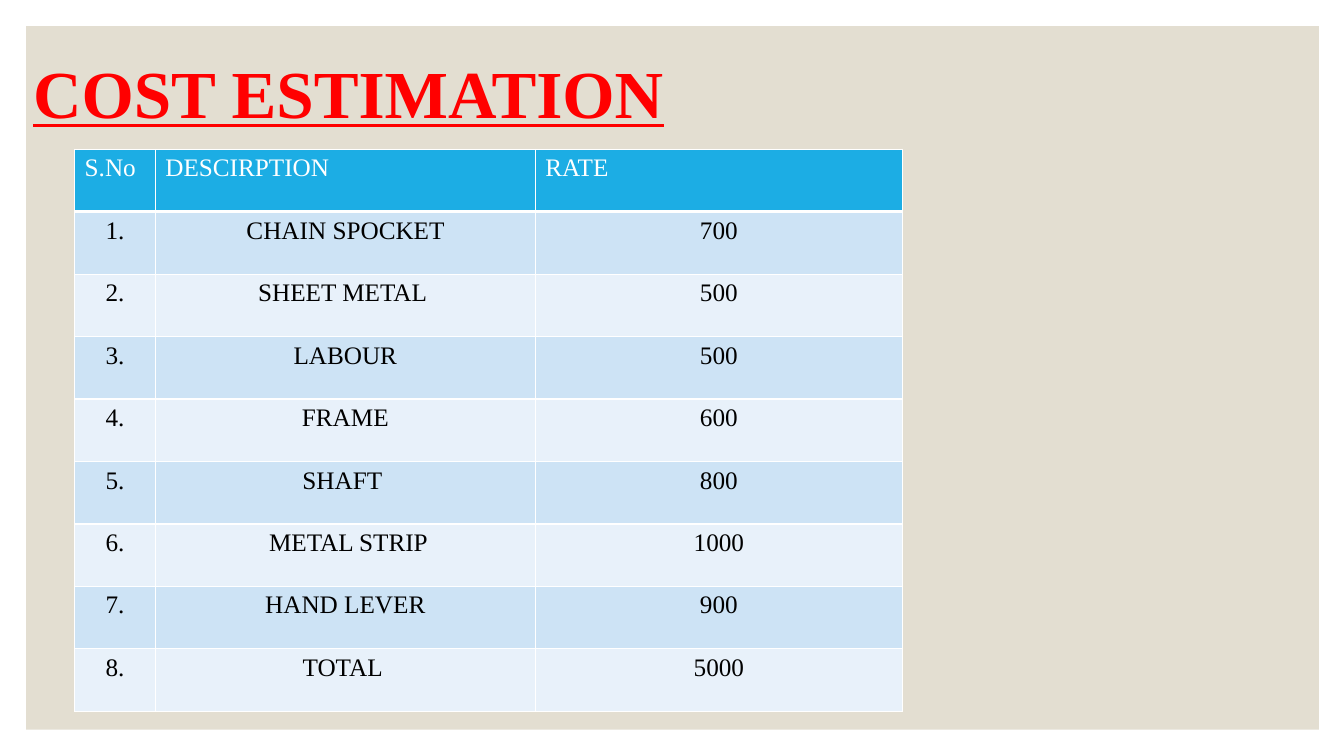
"""Build the cost estimation slide."""
from lxml.etree import SubElement as Sub
from pptx import Presentation
from pptx.dml.color import RGBColor as Rgb
from pptx.enum.shapes import MSO_SHAPE as Shape
from pptx.enum.text import MSO_ANCHOR as Anchor, PP_ALIGN as Align
from pptx.oxml.ns import qn
from pptx.util import Inches, Pt

FONT = "Times New Roman"
TITLE = "COST ESTIMATION"
HEAD = ("S.No", "DESCIRPTION", "RATE")
ITEMS = [
    (" CHAIN SPOCKET ", 700),
    ("SHEET METAL ", 500),
    (" LABOUR ", 500),
    ("FRAME", 600),
    ("SHAFT ", 800),
    (" METAL STRIP", 1000),
    (" HAND LEVER ", 900),
    ("TOTAL ", 5000),
]
COLORS = {"panel": "E3DED1", "title": "FF0000", "head": "1CADE4", "odd": "CDE3F5",
          "even": "E8F1FA", "white": "FFFFFF", "ink": "000000"}
WIDTHS = (0.8, 3.77, 3.64)
ROW = 0.62


def color(name):
    return Rgb.from_string(COLORS[name])


def write(para, text, size, tint):
    run = para.add_run()
    run.text = text
    run.font.name, run.font.size = FONT, Pt(size)
    run.font.color.rgb = color(tint)
    return run


def border(cell, low):
    props = cell._tc.get_or_add_tcPr()
    for side, width in zip("LRTB", (1, 1, 1, low)):
        line = Sub(props, qn("a:ln" + side), w=str(Pt(width)))
        fill = Sub(line, qn("a:solidFill"))
        Sub(fill, qn("a:srgbClr"), val=COLORS["white"])


def add_panel(slide):
    panel = slide.shapes.add_shape(
        Shape.RECTANGLE, Inches(0.26), Inches(0.26), Inches(12.82), Inches(6.98))
    panel.shadow.inherit = False
    panel.fill.solid()
    panel.fill.fore_color.rgb = color("panel")
    panel.line.fill.background()


def add_title(slide):
    box = slide.shapes.add_textbox(Inches(0.23), Inches(0.12), Inches(9.25), Inches(1.67))
    frame = box.text_frame
    frame.word_wrap = True
    frame.vertical_anchor = Anchor.MIDDLE
    para = frame.paragraphs[0]
    para.line_spacing = 0.9
    run = write(para, TITLE, 48, "title")
    run.font.bold = run.font.underline = True


def add_costs(slide):
    rows = [HEAD] + [(f"{n}.", name, str(rate)) for n, (name, rate) in enumerate(ITEMS, 1)]
    table = slide.shapes.add_table(
        len(rows), len(HEAD), Inches(0.74), Inches(1.48),
        Inches(sum(WIDTHS)), Inches(ROW * len(rows))).table
    for col, width in zip(table.columns, WIDTHS):
        col.width = Inches(width)
    for r, row in enumerate(rows):
        table.rows[r].height = Inches(ROW)
        shade = "head" if r == 0 else "odd" if r % 2 else "even"
        for c, text in enumerate(row):
            cell = table.cell(r, c)
            border(cell, 1 if r else 3)
            cell.fill.solid()
            cell.fill.fore_color.rgb = color(shade)
            para = cell.text_frame.paragraphs[0]
            para.alignment = Align.CENTER if r else Align.LEFT
            run = write(para, text, 18, "ink" if r else "white")
            run.font.bold = False


def main():
    deck = Presentation()
    deck.slide_width, deck.slide_height = Inches(13.33), Inches(7.5)
    slide = deck.slides.add_slide(deck.slide_layouts[6])
    add_panel(slide)
    add_title(slide)
    add_costs(slide)
    deck.save("out.pptx")


if __name__ == "__main__":
    main()
